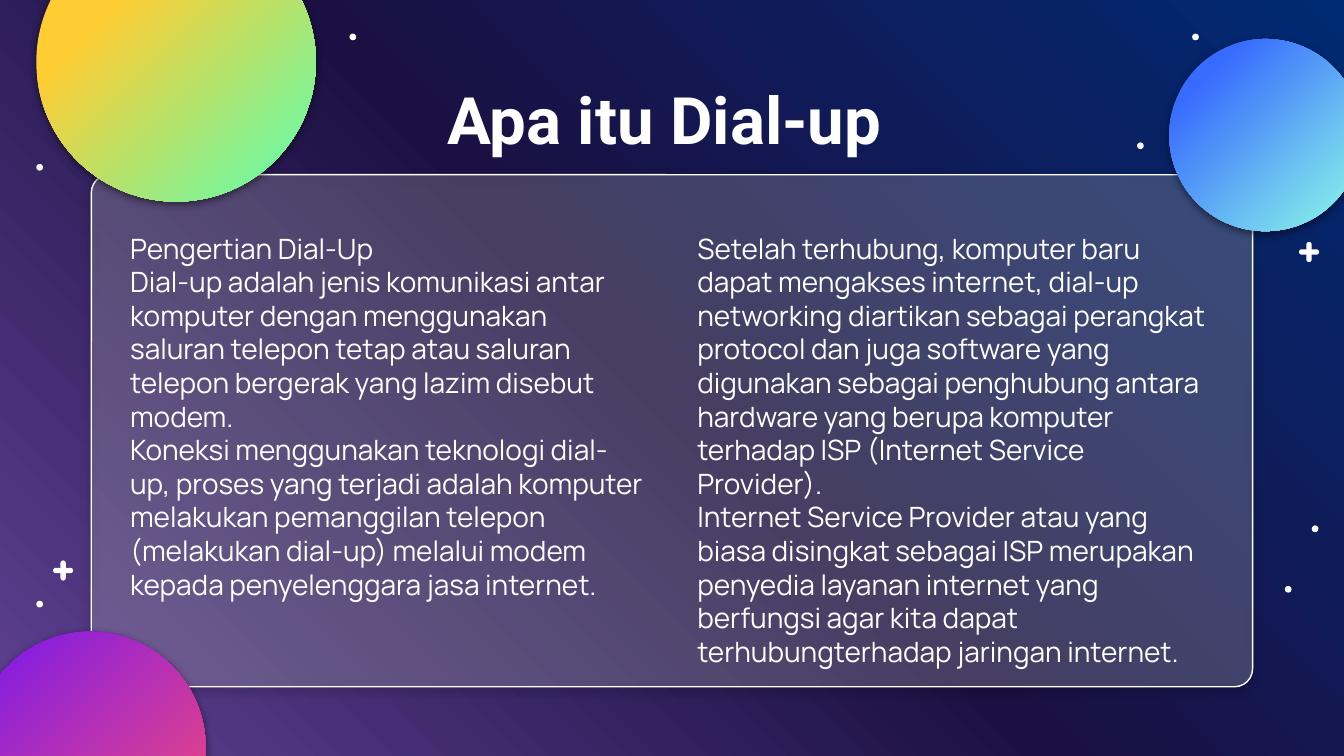
import copy

import pptx
import pptx.dml.color
import pptx.enum.shapes
import pptx.enum.text
import pptx.oxml
import pptx.oxml.ns
import pptx.util

RGBColor = pptx.dml.color.RGBColor
Inches = pptx.util.Inches
SHAPE = pptx.enum.shapes.MSO_SHAPE
ALIGN = pptx.enum.text.PP_ALIGN
qn = pptx.oxml.ns.qn

WHITE = RGBColor(0xFF, 0xFF, 0xFF)
LILAC = RGBColor(0x60, 0x42, 0x93)
MIDNIGHT = RGBColor(0x1B, 0x10, 0x43)
NAVY = RGBColor(0x00, 0x2A, 0x73)
BLUE = RGBColor(0x37, 0x6A, 0xFF)
AQUA = RGBColor(0x90, 0xFF, 0xE7)
VIOLET = RGBColor(0x78, 0x18, 0xED)
PINK = RGBColor(0xF8, 0x4B, 0x76)
YELLOW = RGBColor(0xFF, 0xCC, 0x32)
MINT = RGBColor(0x59, 0xFF, 0xB3)

TITLE = "Apa itu Dial-up "
COLUMNS = [
    [
        "Pengertian Dial-Up",
        "Dial-up adalah jenis komunikasi antar komputer dengan menggunakan saluran "
        "telepon tetap atau saluran telepon bergerak yang lazim disebut modem.",
        "Koneksi menggunakan teknologi dial-up, proses yang terjadi adalah komputer "
        "melakukan pemanggilan telepon (melakukan dial-up) melalui modem kepada "
        "penyelenggara jasa internet.",
    ],
    [
        "Setelah terhubung, komputer baru dapat mengakses internet, dial-up networking "
        "diartikan sebagai perangkat protocol dan juga software yang digunakan sebagai "
        "penghubung antara hardware yang berupa komputer terhadap ISP (Internet Service "
        "Provider).",
        "Internet Service Provider atau yang biasa disingkat sebagai ISP merupakan "
        "penyedia layanan internet yang berfungsi agar kita dapat terhubungterhadap "
        "jaringan internet.",
    ],
]

BACKGROUND_STOPS = [(0, LILAC), (50, MIDNIGHT), (100, NAVY)]
# left, top, diameter, gradient stops
PLANETS = [
    (8.7, 0.29, 1.43, [(0, BLUE), (18, BLUE), (100, AQUA)]),
    (-0.19, 4.7, 1.72, [(0, VIOLET), (100, PINK)]),
    (0.27, -0.58, 2.08, [(0, YELLOW), (28, YELLOW), (100, MINT)]),
]
DOT = 0.05
DOTS = [(0.27, 4.47), (8.87, 0.25), (0.27, 1.22), (2.6, 0.25), (8.46, 1.06),
        (9.56, 4.36), (9.76, 3.91)]
BAR_WIDTH, BAR_HEIGHT = 0.04, 0.15
SPARKLES = [(9.72, 1.8), (0.45, 4.17)]
COLUMN_LEFT, COLUMN_TOP, COLUMN_STEP = 0.87, 1.62, 4.22
COLUMN_WIDTH, COLUMN_HEIGHT = 4.04, 3.31

SHADOW = (
    '<a:effectLst xmlns:a="http://schemas.openxmlformats.org/drawingml/2006/main">'
    '<a:outerShdw blurRad="57150" dist="19050" dir="5400000" algn="bl" rotWithShape="0">'
    '<a:srgbClr val="000000"><a:alpha val="50000"/></a:srgbClr>'
    "</a:outerShdw></a:effectLst>"
)


def set_gradient(fill, owner, stops, angle):
    """Fill with (percent, colour) stops; angle runs counter-clockwise."""
    fill.gradient()
    fill.gradient_angle = angle
    stop_list = owner.find(".//" + qn("a:gsLst"))
    template = stop_list[0]
    for old_stop in list(stop_list):
        stop_list.remove(old_stop)
    for percent, _ in stops:
        stop = copy.deepcopy(template)
        stop.set("pos", str(percent * 1000))
        stop_list.append(stop)
    for stop, (_, color) in zip(fill.gradient_stops, stops):
        stop.color.rgb = color


def add_white_shape(slide, kind, left, top, width, height):
    shape = slide.shapes.add_shape(
        kind, Inches(left), Inches(top), Inches(width), Inches(height))
    shape.shadow.inherit = False
    shape.fill.solid()
    shape.fill.fore_color.rgb = WHITE
    shape.line.fill.background()
    return shape


def add_soft_shadow(shape):
    properties = shape._element.spPr
    properties.replace(properties.find(qn("a:effectLst")),
                       pptx.oxml.parse_xml(SHADOW))


def add_text(slide, box, paragraphs, font, size, bold=False,
             alignment=ALIGN.LEFT, line_spacing=1.0):
    frame = slide.shapes.add_textbox(*map(Inches, box)).text_frame
    frame.word_wrap = True
    frame.margin_left = frame.margin_right = Inches(0.1)
    frame.margin_top = frame.margin_bottom = Inches(0.1)
    for index, text in enumerate(paragraphs):
        paragraph = frame.add_paragraph() if index else frame.paragraphs[0]
        paragraph.alignment = alignment
        paragraph.line_spacing = line_spacing
        run = paragraph.add_run()
        run.text = text
        run.font.name = font
        run.font.size = pptx.util.Pt(size)
        run.font.bold = bold
        run.font.color.rgb = WHITE


def add_panel(slide):
    panel = add_white_shape(slide, SHAPE.ROUNDED_RECTANGLE, 0.68, 1.3, 8.64, 3.81)
    panel.adjustments[0] = 0.035
    color = panel._element.spPr.find(qn("a:solidFill"))[0]
    color.append(color.makeelement(qn("a:alpha"), {"val": "20000"}))
    panel.line.color.rgb = WHITE
    panel.line.width = pptx.util.Pt(0.75)
    add_soft_shadow(panel)


def main():
    presentation = pptx.Presentation()
    presentation.slide_width, presentation.slide_height = Inches(10), Inches(5.625)
    slide = presentation.slides.add_slide(presentation.slide_layouts[6])
    set_gradient(slide.background.fill, slide._element, BACKGROUND_STOPS, 45)

    for left, top in SPARKLES:
        for rotation in (0, 90):
            bar = add_white_shape(slide, SHAPE.ROUNDED_RECTANGLE,
                                  left, top, BAR_WIDTH, BAR_HEIGHT)
            bar.adjustments[0] = 0.5
            bar.rotation = rotation
    for left, top in DOTS:
        add_white_shape(slide, SHAPE.OVAL, left, top, DOT, DOT)

    add_panel(slide)
    add_text(slide, (0.79, 0.49, 8.43, 0.63), [TITLE], "Roboto", 35,
             bold=True, alignment=ALIGN.CENTER)
    for index, paragraphs in enumerate(COLUMNS):
        left = COLUMN_LEFT + index * COLUMN_STEP
        add_text(slide, (left, COLUMN_TOP, COLUMN_WIDTH, COLUMN_HEIGHT),
                 paragraphs, "Manrope", 15)

    for left, top, diameter, stops in PLANETS:
        planet = add_white_shape(slide, SHAPE.OVAL, left, top, diameter, diameter)
        set_gradient(planet.fill, planet._element, stops, 315)
        add_soft_shadow(planet)

    presentation.save("out.pptx")


if __name__ == "__main__":
    main()
